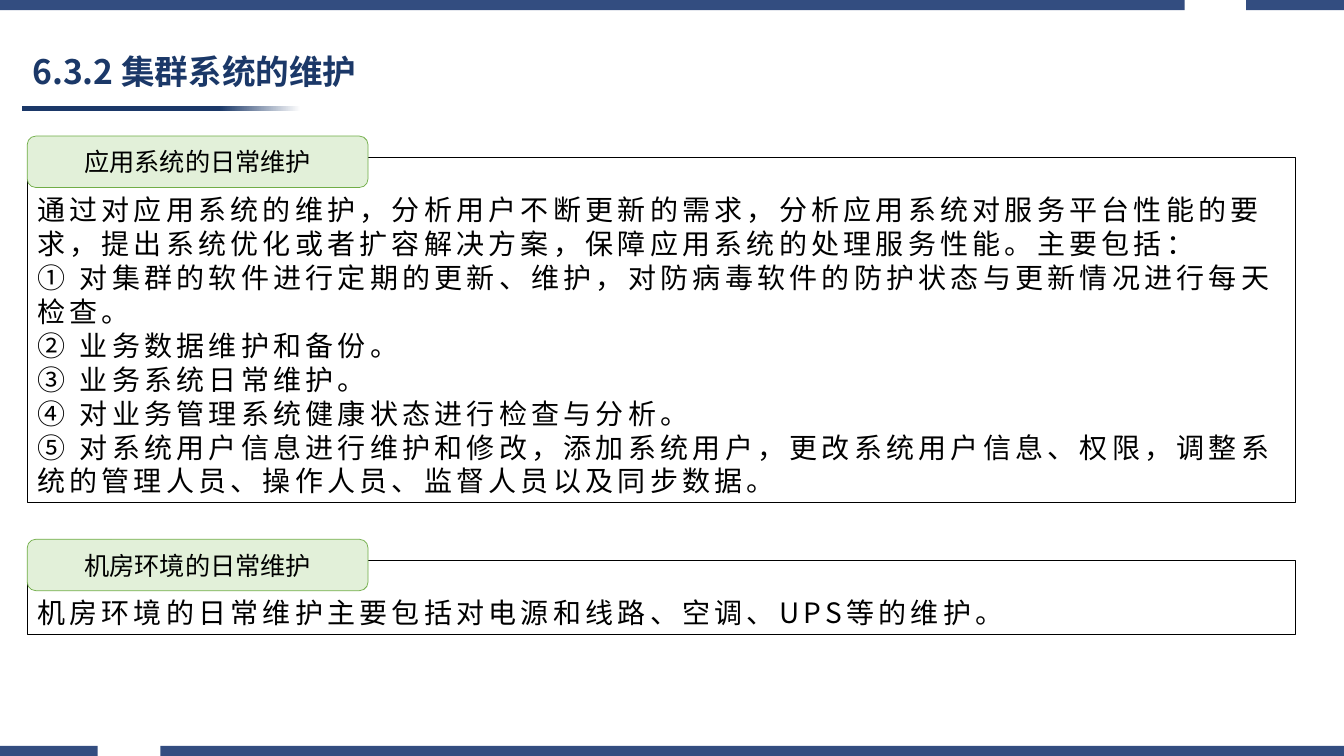
from lxml.etree import SubElement as Sub
from pptx import Presentation
from pptx.dml.color import RGBColor
from pptx.enum.shapes import MSO_SHAPE as Shape
from pptx.enum.text import MSO_ANCHOR as Anchor, PP_ALIGN as Align
from pptx.oxml.ns import qn
from pptx.util import Inches, Pt

NAVY = RGBColor(0x1B, 0x38, 0x68)
BLUE = RGBColor(0x33, 0x4D, 0x80)
MINT = RGBColor(0xE2, 0xF0, 0xD9)
GREEN = RGBColor(0x70, 0xAD, 0x47)
BLACK = RGBColor(0, 0, 0)
WHITE = RGBColor(255, 255, 255)
FONT = "Noto Sans CJK SC"
WIDTH, HEIGHT = 13.33, 7.5

APPS = [
    "通过对应用系统的维护，分析用户不断更新的需求，分析应用系统对服务平台性能的要求，提出系统优化或者扩容解决方案，保障应用系统的处理服务性能。主要包括：",
    "① 对集群的软件进行定期的更新、维护，对防病毒软件的防护状态与更新情况进行每天检查。",
    "② 业务数据维护和备份。",
    "③ 业务系统日常维护。",
    "④ 对业务管理系统健康状态进行检查与分析。",
    "⑤ 对系统用户信息进行维护和修改，添加系统用户，更改系统用户信息、权限，调整系统的管理人员、操作人员、监督人员以及同步数据。",
]
ROOM = ["机房环境的日常维护主要包括对电源和线路、空调、UPS等的维护。"]


def style(para, size, color, bold=False, gap=0):
    """Set the font of a paragraph, with letter spacing in points."""
    font = para.font
    font.name, font.size, font.bold = FONT, Pt(size), bold
    font.color.rgb = color
    props = para._p.pPr.find(qn("a:defRPr"))
    Sub(props, qn("a:ea")).set("typeface", FONT)
    if gap:
        props.set("spc", str(gap * 100))


def add_box(slide, kind, left, top, width, height):
    """Add a preset shape without shadow or line."""
    box = slide.shapes.add_shape(
        kind, Inches(left), Inches(top), Inches(width), Inches(height))
    box.shadow.inherit = False
    box.line.fill.background()
    return box


def add_band(slide, top, start, end, height=0.1):
    """Draw a full-width band with a gap from start to end."""
    pen = None
    for left, right in ((0, start), (end, WIDTH)):
        x, y = Inches(left), Inches(top)
        far, low = Inches(right), Inches(top + height)
        if pen is None:
            pen = slide.shapes.build_freeform(x, y)
        else:
            pen.move_to(x, y)
        pen.add_line_segments([(far, y), (far, low), (x, low)], close=True)
    band = pen.convert_to_shape()
    band.shadow.inherit = False
    band.fill.solid()
    band.fill.fore_color.rgb = BLUE
    band.line.fill.background()


def add_head(slide, text, left, top, width, height):
    """Place the title with a fading rule beneath it."""
    title = slide.shapes.title
    title.left, title.top = Inches(left), Inches(top)
    title.width, title.height = Inches(width), Inches(height)
    title.text_frame.text = text
    title.text_frame.vertical_anchor = Anchor.MIDDLE
    para = title.text_frame.paragraphs[0]
    para.alignment, para.line_spacing = Align.LEFT, 0.9
    style(para, 24, NAVY, bold=True)
    rule = add_box(slide, Shape.RECTANGLE, left, top + height + 0.04, 2.76, 0.05)
    rule.fill.gradient()
    rule.fill.gradient_angle = 0
    for stop, place, color in zip(
            rule.fill.gradient_stops, (0.71, 1), (NAVY, WHITE)):
        stop.position, stop.color.rgb = place, color


def add_panel(slide, label, lines, left, top, width, height):
    """Draw a framed text with a label tab over its top left corner."""
    frame = add_box(slide, Shape.RECTANGLE, left, top, width, height)
    frame.fill.background()
    frame.line.color.rgb, frame.line.width = BLACK, Pt(0.75)
    body = frame.text_frame
    body.word_wrap, body.vertical_anchor = True, Anchor.TOP
    body.margin_top = Inches(0.35)
    for i, line in enumerate(lines):
        para = body.add_paragraph() if i else body.paragraphs[0]
        para.text, para.alignment = line, Align.LEFT
        para.line_spacing = Pt(24.2)
        style(para, 20, BLACK, gap=3)

    tab = add_box(slide, Shape.ROUNDED_RECTANGLE, left, top - 0.21, 3.38, 0.51)
    tab.fill.solid()
    tab.fill.fore_color.rgb = MINT
    tab.line.color.rgb, tab.line.width = GREEN, Pt(0.5)
    tab.text_frame.text = label
    tab.text_frame.vertical_anchor = Anchor.MIDDLE
    para = tab.text_frame.paragraphs[0]
    para.alignment = Align.CENTER
    style(para, 18, BLACK)


def main():
    """Build the slide and save it."""
    deck = Presentation()
    deck.slide_width, deck.slide_height = Inches(WIDTH), Inches(HEIGHT)
    slide = deck.slides.add_slide(deck.slide_layouts[5])
    add_band(slide, 0, 11.75, 12.36)
    add_band(slide, HEIGHT - 0.1, 0.97, 1.59)
    add_head(slide, "6.3.2 集群系统的维护", 0.22, 0.45, 4.97, 0.56)
    add_panel(slide, "应用系统的日常维护", APPS, 0.27, 1.56, 12.58, 3.43)
    add_panel(slide, "机房环境的日常维护", ROOM, 0.27, 5.56, 12.58, 0.74)
    deck.save("out.pptx")


if __name__ == "__main__":
    main()
